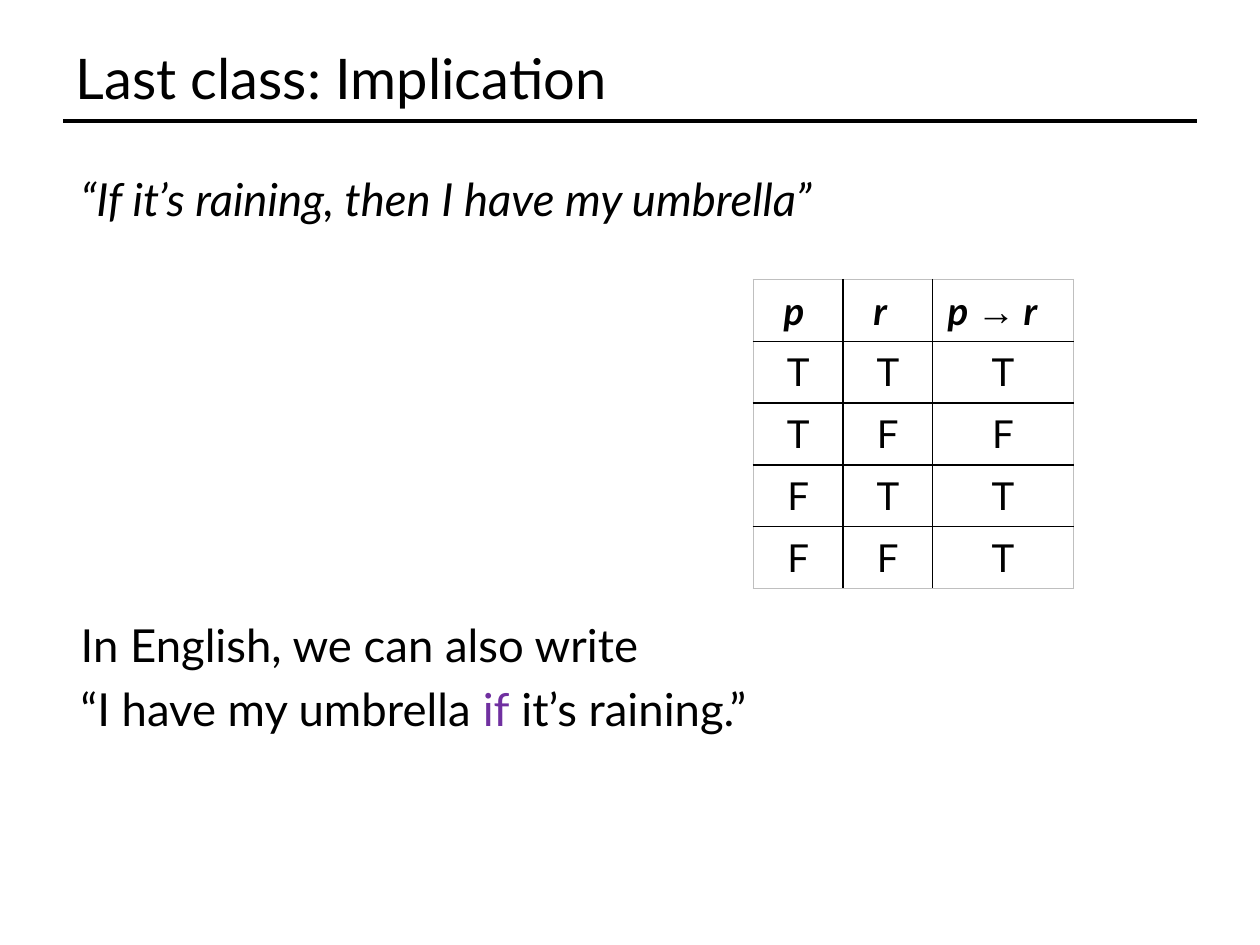
from dataclasses import dataclass

import pptx
import pptx.util
import pptx.dml.color
import pptx.enum.text
import pptx.oxml
import pptx.oxml.ns
from pptx.util import Inches, Pt


@dataclass(frozen=True)
class Theme:
    font: str = "Lato"
    symbol_font: str = "Arial"
    ink: str = "000000"
    accent: str = "7030A0"
    frame: str = "BFBFBF"
    title_size: int = 32
    body_size: int = 26
    table_size: int = 22


THEME = Theme()
WIDTH, HEIGHT = 10, 7.5
TRUTH_ROWS = ("TTT", "TFF", "FTT", "FFT")
ARROW = "→"


def place(shape, box):
    shape.left, shape.top, shape.width, shape.height = map(Inches, box)


def write_runs(paragraph, texts, size, bold=False, italic=False, accented=()):
    """Fill a paragraph with one run per text, colouring the accented ones."""
    for text in texts:
        run = paragraph.add_run()
        run.text = text
        font = run.font
        font.name = THEME.symbol_font if text == ARROW else THEME.font
        font.size, font.bold, font.italic = Pt(size), bold, italic
        colour = THEME.accent if text in accented else THEME.ink
        font.color.rgb = pptx.dml.color.RGBColor.from_string(colour)


def add_heading(slide, box):
    title = slide.shapes.title
    place(title, box)
    frame = title.text_frame
    frame.auto_size = pptx.enum.text.MSO_AUTO_SIZE.NONE
    frame.vertical_anchor = pptx.enum.text.MSO_ANCHOR.MIDDLE
    paragraph = frame.paragraphs[0]
    paragraph.alignment = pptx.enum.text.PP_ALIGN.LEFT
    write_runs(paragraph, ["Last class: Implication"], THEME.title_size)

    left, top, width, height = box
    rule_y = Inches(top + height + 0.02)
    rule = slide.shapes.add_connector(
        pptx.enum.shapes.MSO_CONNECTOR.STRAIGHT,
        Inches(left), rule_y, Inches(left + width), rule_y)
    rule.line.width = Pt(2)
    rule.line.color.rgb = pptx.dml.color.RGBColor.from_string(THEME.ink)
    rule._element.spPr.append(pptx.oxml.parse_xml(
        f"<a:effectLst {pptx.oxml.ns.nsdecls('a')}/>"))


def add_statements(slide, box):
    body = slide.placeholders[1]
    place(body, box)
    frame = body.text_frame
    frame.auto_size = pptx.enum.text.MSO_AUTO_SIZE.NONE
    gap = 0.2 * THEME.body_size
    line = 1.2 * THEME.body_size + gap
    statements = [
        (["“If it’s raining, then I have my umbrella”"], True, 0),
        (["In English, we can also write"], False, 6 * line + gap),
        (["“I have my umbrella ", "if", " it’s raining.”"], False, gap),
    ]
    for index, (texts, italic, space) in enumerate(statements):
        paragraph = frame.add_paragraph() if index else frame.paragraphs[0]
        properties = paragraph._p.get_or_add_pPr()
        properties.set("marL", "0")
        properties.set("indent", "0")
        properties.append(pptx.oxml.parse_xml(
            f"<a:buNone {pptx.oxml.ns.nsdecls('a')}/>"))
        paragraph.space_before = Pt(space)
        write_runs(paragraph, texts, THEME.body_size, italic=italic,
                   accented=("if",))


def set_borders(cell, outer_sides):
    """Draw the four cell edges, with the frame colour on the outer ones."""
    properties = cell._tc.get_or_add_tcPr()
    for side in "LRTB":
        colour = THEME.frame if side in outer_sides else THEME.ink
        properties.append(pptx.oxml.parse_xml(
            f"<a:ln{side} {pptx.oxml.ns.nsdecls('a')} w='{Pt(1)}'><a:solidFill>"
            f"<a:srgbClr val='{colour}'/></a:solidFill></a:ln{side}>"))


def add_truth_table(slide, box):
    rows = [(["p"], ["r"], ["p ", ARROW, " r"]), *TRUTH_ROWS]
    shares = (0.28, 0.28, 0.44)
    left, top, width, height = box
    table = slide.shapes.add_table(
        len(rows), len(shares), *map(Inches, box)).table
    table.first_row = table.horz_banding = False
    for column, share in zip(table.columns, shares):
        column.width = Inches(width * share)
    for row in table.rows:
        row.height = Inches(height / len(rows))

    last_row, last_column = len(rows) - 1, len(shares) - 1
    for r, values in enumerate(rows):
        header = r == 0
        for c, texts in enumerate(values):
            cell = table.cell(r, c)
            indented = header and c < last_column
            cell.margin_left = Inches(0.24 if indented else 0.12)
            cell.margin_right = Inches(0.12)
            cell.margin_top = cell.margin_bottom = Inches(0.06)
            edges = {"L": c == 0, "R": c == last_column,
                     "T": r == 0, "B": r == last_row}
            set_borders(cell, [side for side, outer in edges.items() if outer])
            cell.fill.background()
            paragraph = cell.text_frame.paragraphs[0]
            align = pptx.enum.text.PP_ALIGN
            paragraph.alignment = align.LEFT if header else align.CENTER
            write_runs(paragraph, texts, THEME.table_size, header, header)


def main():
    presentation = pptx.Presentation()
    presentation.slide_width = Inches(WIDTH)
    presentation.slide_height = Inches(HEIGHT)
    slide = presentation.slides.add_slide(presentation.slide_layouts[1])
    margin = 0.05 * WIDTH
    content_width = WIDTH - 2 * margin
    add_heading(slide, (margin, 0.28, content_width, 0.66))
    add_statements(slide, (margin + 0.04, 1.31, content_width, 0.66 * HEIGHT))
    add_truth_table(slide, (5.98, 2.22, 2.54, 2.45))
    presentation.save("out.pptx")


if __name__ == "__main__":
    main()
